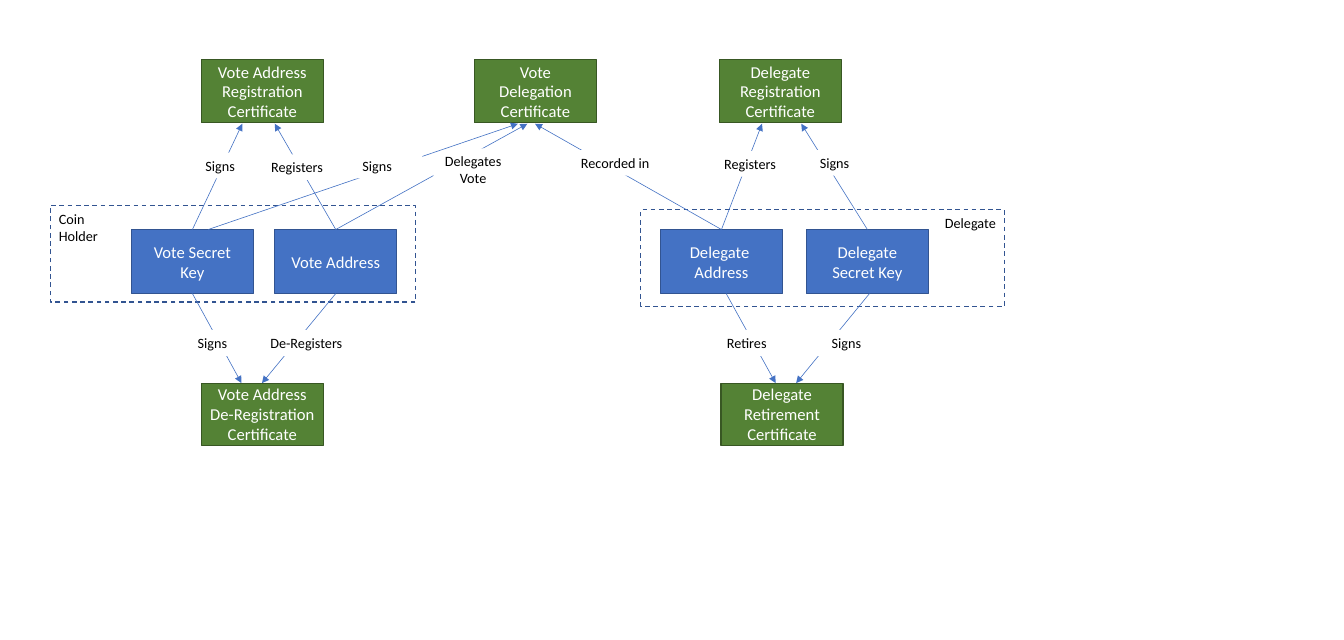
"""Build the slide of vote addresses, delegates and their certificates."""
from lxml import etree
from pptx import Presentation
from pptx.dml.color import RGBColor
from pptx.enum import dml, shapes, text
from pptx.oxml import ns
from pptx.util import Inches, Pt

BLUE, BLUE_EDGE = RGBColor(0x44, 0x72, 0xC4), RGBColor(0x32, 0x54, 0x91)
GREEN, GREEN_EDGE = RGBColor(0x54, 0x82, 0x35), RGBColor(0x38, 0x57, 0x23)
WHITE, BLACK = RGBColor(0xFF, 0xFF, 0xFF), RGBColor(0, 0, 0)
LEFT, CENTER, RIGHT = text.PP_ALIGN.LEFT, text.PP_ALIGN.CENTER, text.PP_ALIGN.RIGHT
TOP, MIDDLE = text.MSO_ANCHOR.TOP, text.MSO_ANCHOR.MIDDLE
TOP_SIDE, BOTTOM_SIDE = 0, 2

BOX_WIDTH = 1.43
HOLDERS = [
    ("Coin\nHolder", 0.59, 2.41, 4.28, LEFT),
    ("Delegate", 7.51, 2.46, 4.26, RIGHT),
]
HOLDER_HEIGHT = 1.13

ROWS = [
    (0.7, 0.74, GREEN, GREEN_EDGE, {
        "register vote": ("Vote Address\nRegistration\nCertificate", 2.36),
        "delegate vote": ("Vote Delegation\nCertificate", 5.56),
        "register delegate": ("Delegate Registration Certificate", 8.43),
    }),
    (2.69, 0.75, BLUE, BLUE_EDGE, {
        "vote key": ("Vote Secret\nKey", 1.54),
        "vote address": ("Vote Address", 3.22),
        "delegate address": ("Delegate \nAddress", 7.74),
        "delegate key": ("Delegate Secret Key", 9.45),
    }),
    (4.49, 0.73, GREEN, GREEN_EDGE, {
        "deregister vote": ("Vote Address\nDe-Registration\nCertificate", 2.36),
        "retire delegate": ("Delegate Retirement Certificate", 8.45),
    }),
]

# Source box or start x, tip x, then the label: text, left, top, width, height, alignment
UPWARD = [
    ("vote address", 3.22, "Registers", 3.08, 1.81, 0.93, 0.3, LEFT),
    ("vote address", 6.18, "Delegates Vote", 5.08, 1.74, 0.93, 0.5, CENTER),
    ("delegate address", 6.27, "Recorded in", 6.7, 1.76, 1.02, 0.3, CENTER),
    ("delegate address", 8.93, "Registers", 8.26, 1.77, 1.06, 0.3, CENTER),
    ("delegate key", 9.39, "Signs", 9.25, 1.76, 1.06, 0.3, CENTER),
    ("vote key", 2.84, "Signs", 2.05, 1.79, 1.06, 0.3, CENTER),
    (2.44, 6.07, "Signs", 3.89, 1.79, 1.06, 0.3, CENTER),
]
DOWNWARD = [
    ("vote address", 3.07, "De-Registers", 3.07, 3.87, 1.1, 0.3, LEFT),
    ("vote key", 2.83, "Signs", 1.96, 3.87, 1.06, 0.3, CENTER),
    (10.19, 9.33, "Signs", 9.39, 3.87, 1.06, 0.3, CENTER),
    (8.51, 9.09, "Retires", 8.42, 3.87, 1.1, 0.3, LEFT),
]
DIRECTIONS = [(UPWARD, TOP_SIDE, 2.69, 1.45), (DOWNWARD, BOTTOM_SIDE, 3.44, 4.49)]


def add_rect(slide, words, place, size, color, align, anchor=TOP, fill=None, edge=None):
    """Add a rectangle with text, with an optional fill and outline."""
    rect = slide.shapes.add_shape(shapes.MSO_SHAPE.RECTANGLE, *map(Inches, place))
    rect.shadow.inherit = False
    if fill is None:
        rect.fill.background()
    else:
        rect.fill.solid()
        rect.fill.fore_color.rgb = fill
    if edge is None:
        rect.line.fill.background()
    else:
        rect.line.color.rgb = edge
        rect.line.width = Pt(1)
    frame = rect.text_frame
    frame.word_wrap = True
    frame.vertical_anchor = anchor
    paragraph = frame.paragraphs[0]
    paragraph.text = words
    paragraph.alignment = align
    for run in paragraph.runs:
        run.font.name = "Calibri"
        run.font.size = Pt(size)
        run.font.color.rgb = color
    return rect


def add_arrow(slide, start, tip):
    """Add a thin blue arrow from start to tip."""
    arrow = slide.shapes.add_connector(
        shapes.MSO_CONNECTOR.STRAIGHT, *map(Inches, start + tip))
    arrow.line.color.rgb = BLUE
    arrow.line.width = Pt(0.5)
    etree.SubElement(arrow.line._get_or_add_ln(), ns.qn("a:tailEnd"), type="triangle")
    etree.SubElement(arrow._element.spPr, ns.qn("a:effectLst"))
    return arrow


def main():
    """Draw the holders, boxes, arrows and labels, and save the slide."""
    deck = Presentation()
    deck.slide_width, deck.slide_height = Inches(15.75), Inches(7.5)
    slide = deck.slides.add_slide(deck.slide_layouts[6])

    for words, left, top, width, align in HOLDERS:
        holder = add_rect(slide, words, (left, top, width, HOLDER_HEIGHT), 12, BLACK,
                          align, edge=BLUE_EDGE)
        holder.line.dash_style = dml.MSO_LINE.DASH

    boxes = {}
    for top, height, fill, edge, row in ROWS:
        for key, (words, left) in row.items():
            boxes[key] = add_rect(slide, words, (left, top, BOX_WIDTH, height), 14, WHITE,
                                  CENTER, MIDDLE, fill, edge)

    for relations, side, start_y, tip_y in DIRECTIONS:
        for source, tip_x, words, *place, align in relations:
            box = boxes.get(source)
            start_x = (box.left + box.width / 2) / Inches(1) if box else source
            arrow = add_arrow(slide, (start_x, start_y), (tip_x, tip_y))
            if box:
                arrow.begin_connect(box, side)
            add_rect(slide, words, place, 12, BLACK, align, fill=WHITE)

    deck.save("out.pptx")


if __name__ == "__main__":
    main()
